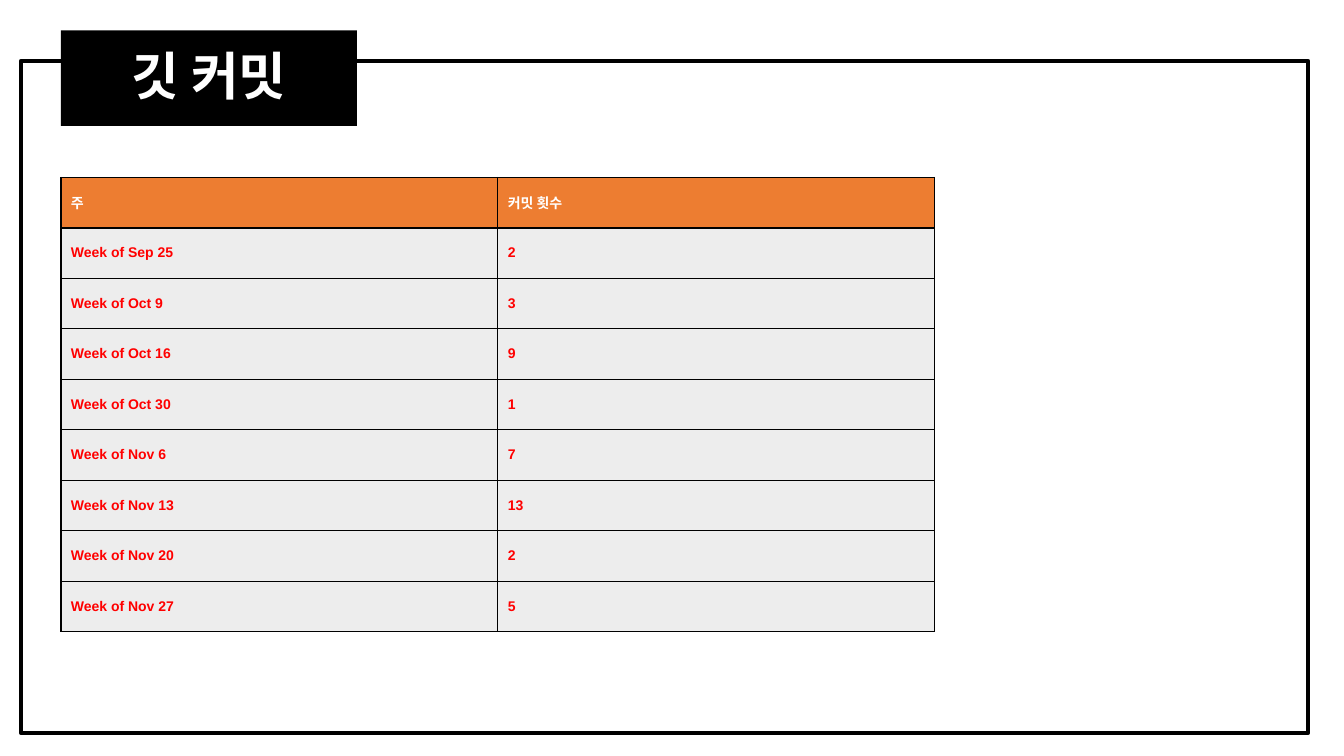
from dataclasses import dataclass

from lxml import etree
from pptx import Presentation
from pptx.dml.color import RGBColor
from pptx.enum.shapes import MSO_SHAPE
from pptx.enum.text import MSO_ANCHOR, PP_ALIGN
from pptx.oxml.ns import qn
from pptx.util import Pt

RECT = MSO_SHAPE.RECTANGLE
MIDDLE = MSO_ANCHOR.MIDDLE
CENTER = PP_ALIGN.CENTER
PX = 9525  # EMU in one px, 96 px to the inch


@dataclass(frozen=True)
class Theme:
    black: str = "000000"
    white: str = "FFFFFF"
    orange: str = "ED7D31"
    grey: str = "EDEDED"
    red: str = "FF0000"
    latin: str = "Arial"
    hangul: str = "Noto Sans CJK KR"
    title: int = 37
    body: int = 10
    frame: int = 3
    rule: int = 1


THEME = Theme()
HEAD = ("주", "커밋 횟수")
WEEKS = (
    ("Week of Sep 25", 2),
    ("Week of Oct 9", 3),
    ("Week of Oct 16", 9),
    ("Week of Oct 30", 1),
    ("Week of Nov 6", 7),
    ("Week of Nov 13", 13),
    ("Week of Nov 20", 2),
    ("Week of Nov 27", 5),
)


def emu(box):
    return [side * PX for side in box]


def paint(fill, color):
    fill.solid()
    fill.fore_color.rgb = RGBColor.from_string(color)


def write(frame, text, size, face, color):
    """Put one bold line of text in a frame and return its paragraph."""
    frame.text = text
    para = frame.paragraphs[0]
    font = para.runs[0].font
    font.size, font.name, font.bold = Pt(size), face, True
    font.color.rgb = RGBColor.from_string(color)
    asian = etree.SubElement(para.runs[0]._r.get_or_add_rPr(), qn("a:ea"))
    asian.set("typeface", THEME.hangul)
    return para


def edge(cell):
    """Rule all four sides of a cell."""
    props = cell._tc.get_or_add_tcPr()
    for spot, side in enumerate("LRTB"):
        line = etree.Element(qn(f"a:ln{side}"), w=str(Pt(THEME.rule)))
        fill = etree.SubElement(line, qn("a:solidFill"))
        etree.SubElement(fill, qn("a:srgbClr"), val=THEME.black)
        props.insert(spot, line)


def add_log(slide, box):
    """Add the table of commits per week."""
    rows = (HEAD, *WEEKS)
    left, top, width, height = emu(box)
    table = slide.shapes.add_table(
        len(rows), len(HEAD), left, top, width, height).table
    for col in table.columns:
        col.width = width // len(HEAD)
    for r, row in enumerate(rows):
        table.rows[r].height = height // len(rows)
        back, ink = ((THEME.grey, THEME.red) if r
                     else (THEME.orange, THEME.white))
        for c, value in enumerate(row):
            cell = table.cell(r, c)
            cell.vertical_anchor = MIDDLE
            paint(cell.fill, back)
            edge(cell)
            write(cell.text_frame, str(value), THEME.body, THEME.latin, ink)


def add_frame(slide, box):
    frame = slide.shapes.add_shape(RECT, *emu(box))
    frame.shadow.inherit = False
    frame.fill.background()
    frame.line.color.rgb = RGBColor.from_string(THEME.black)
    frame.line.width = Pt(THEME.frame)


def add_title(slide, box, text):
    """Add the black tag with the title centred on it."""
    tag = slide.shapes.add_shape(RECT, *emu(box))
    tag.shadow.inherit = False
    paint(tag.fill, THEME.black)
    tag.line.fill.background()
    left, top, width, height = box
    inner = (left + 18, top + 6, width - 36, height - 12)
    frame = slide.shapes.add_textbox(*emu(inner)).text_frame
    frame.word_wrap = True
    frame.vertical_anchor = MIDDLE
    para = write(frame, text, THEME.title, THEME.hangul, THEME.white)
    para.alignment = CENTER
    para.line_spacing = 0.9


def main():
    deck = Presentation()
    deck.slide_width, deck.slide_height = emu((1280, 720))
    slide = deck.slides.add_slide(deck.slide_layouts[6])
    paint(slide.background.fill, THEME.white)
    add_log(slide, (58, 169, 832, 433))
    add_frame(slide, (20, 58, 1226, 640))
    add_title(slide, (58, 29, 282, 91), "깃 커밋")
    deck.save("out.pptx")


if __name__ == "__main__":
    main()
